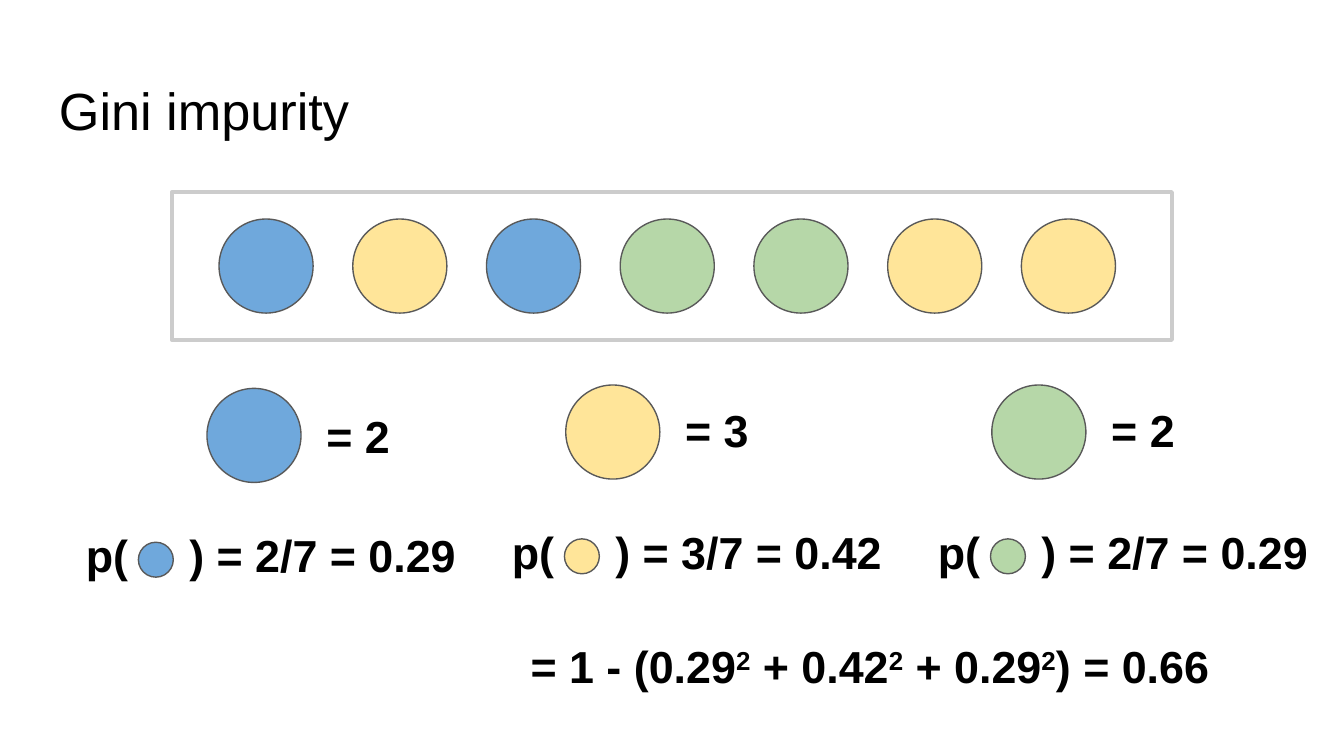
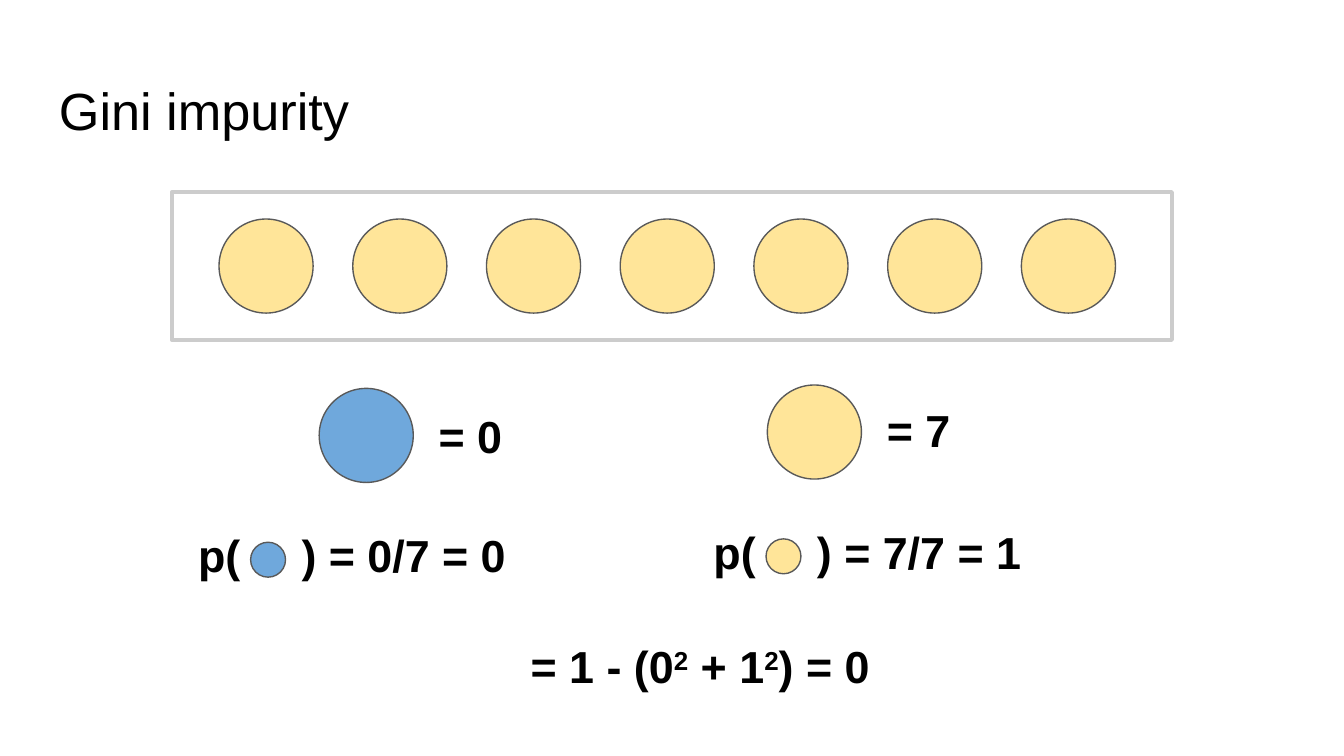
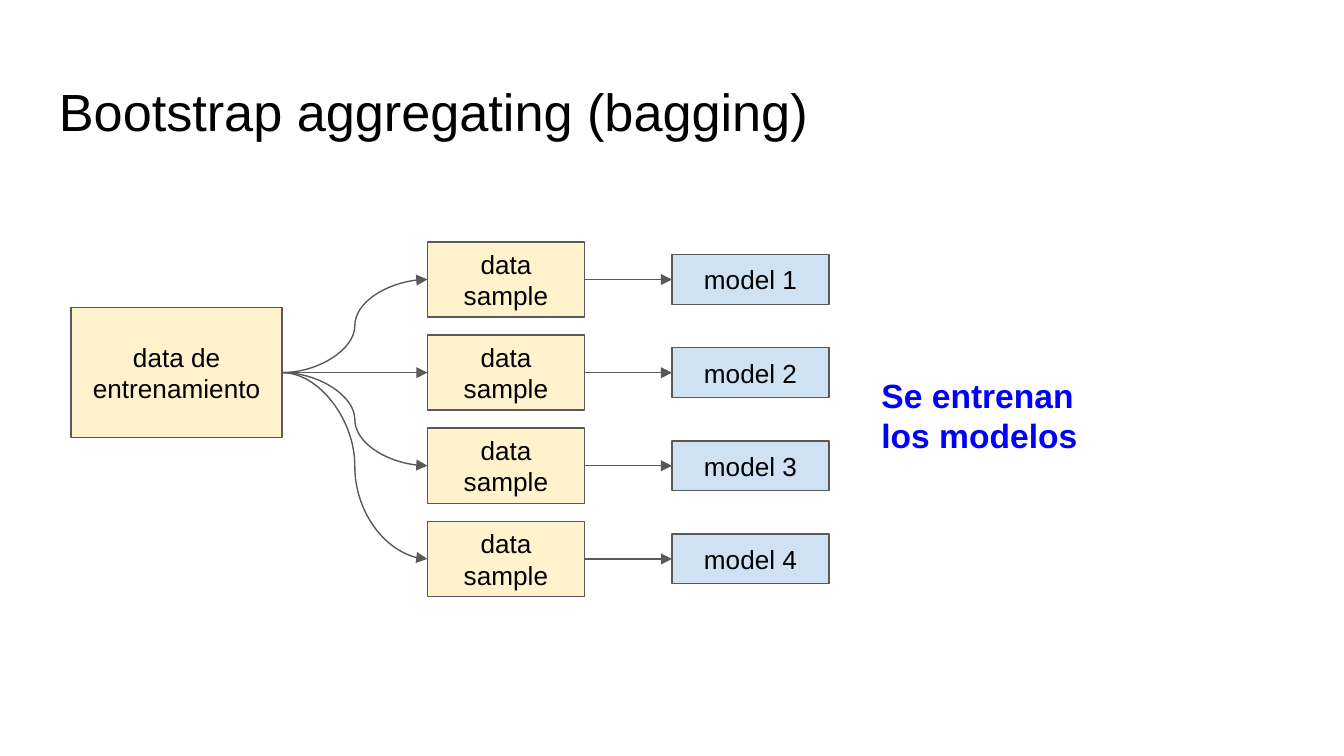
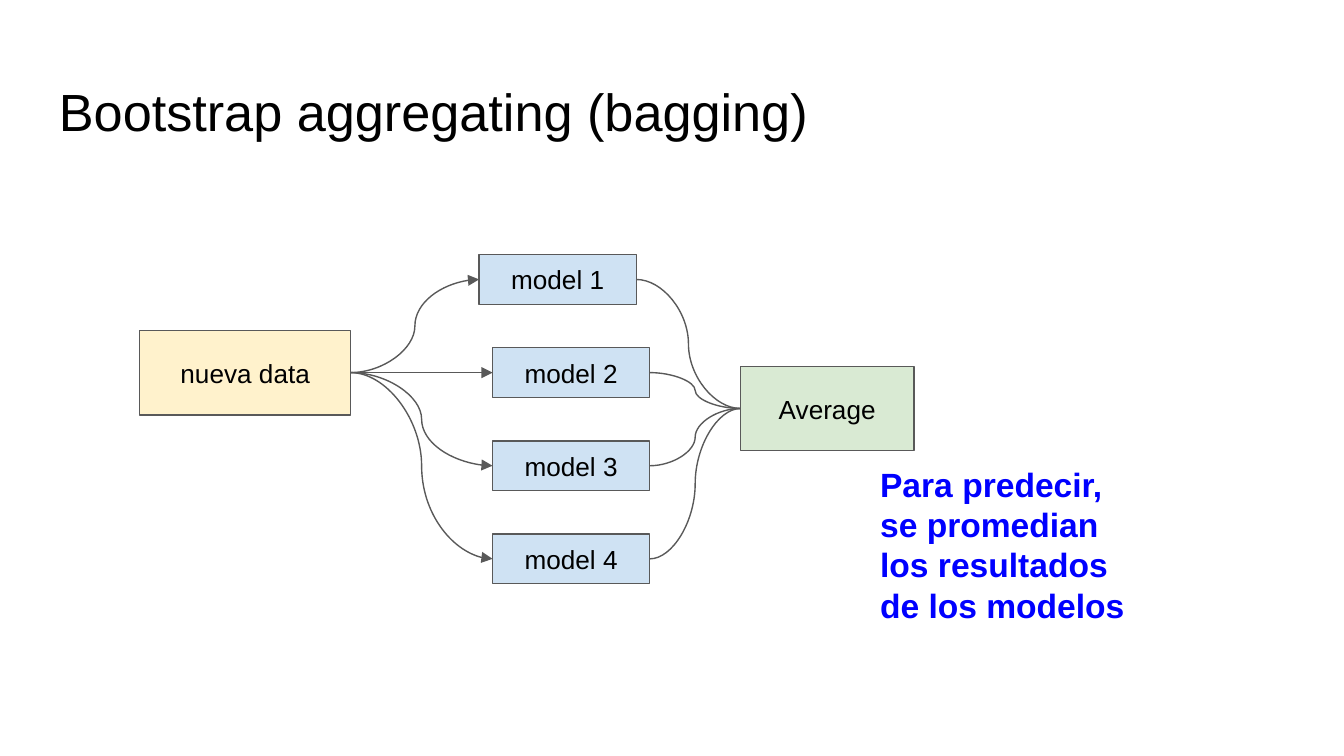
from dataclasses import dataclass
from typing import Any, NamedTuple, Optional

from lxml.etree import SubElement
from pptx import Presentation
from pptx.dml.color import RGBColor
from pptx.enum.shapes import MSO_CONNECTOR, MSO_SHAPE
from pptx.enum.text import MSO_ANCHOR, PP_ALIGN
from pptx.oxml.ns import qn
from pptx.util import Inches, Pt

WIDTH, HEIGHT = Inches(10), Inches(5.625)
COLUMNS = 100
CELL = WIDTH / COLUMNS
TOP, LEFT, BOTTOM, RIGHT = range(4)


@dataclass(frozen=True)
class Theme:
    font: str = "Arial"
    ink: str = "000000"
    outline: str = "595959"
    frame: str = "CCCCCC"
    blue: str = "6FA8DC"
    yellow: str = "FFE599"
    green: str = "B6D7A8"
    data: str = "FFF2CC"
    model: str = "CFE2F3"
    result: str = "D9EAD3"
    remark: str = "0000FF"
    title_size: int = 28
    formula_size: int = 24
    remark_size: int = 18
    box_size: int = 14
    hairline: float = 0.75
    frame_line: float = 2.25


THEME = Theme()


class Area(NamedTuple):
    left: float
    top: float
    width: float
    height: float


class TextStyle(NamedTuple):
    size: int
    color: str = THEME.ink
    bold: bool = False
    anchor: MSO_ANCHOR = MSO_ANCHOR.TOP
    align: PP_ALIGN = PP_ALIGN.LEFT


TITLE = TextStyle(THEME.title_size)
COUNT = TextStyle(THEME.formula_size, bold=True)
FORMULA = COUNT._replace(anchor=MSO_ANCHOR.MIDDLE)
REMARK = TextStyle(THEME.remark_size, THEME.remark, True)
BOX = TextStyle(THEME.box_size, anchor=MSO_ANCHOR.MIDDLE, align=PP_ALIGN.CENTER)


class TallyLayout(NamedTuple):
    ball_shift: float
    drop: float
    count_drop: float
    count_width: float


LEADING = TallyLayout(10, 0.25, 0.5, 9.1)
FOLLOWING = TallyLayout(5, 0, 0.3, 7.7)


class Tally(NamedTuple):
    left: float
    color: str
    count: str
    probability: str
    layout: TallyLayout = FOLLOWING


@dataclass(frozen=True)
class GiniExample:
    balls: list[str]
    tallies: list[Tally]
    impurity: list[str]
    impurity_width: float


class Stage(NamedTuple):
    label: str
    left: float
    middle: float
    width: float
    height: float
    fill: str


BALL, MINI_BALL = 7, 2.6
BALL_PITCH = 9.95
TAB_STOP = Inches(0.77)
BRANCHES = [20.8 + 6.93 * branch for branch in range(4)]
MODEL_SIZE = (11.7, 3.7)
SAMPLE_SIZE = (11.7, 5.6)


def cells(amount: float) -> int:
    return round(amount * CELL)


def rgb(color: str) -> RGBColor:
    return RGBColor.from_string(color)


def apply(target: Any, values: dict[str, Any]) -> None:
    for attribute, value in values.items():
        setattr(target, attribute, value)


def write(frame: Any, parts: list[str], style: TextStyle) -> None:
    margins = {f"margin_{side}": cells(1) for side in ("left", "top", "right", "bottom")}
    apply(frame, {"word_wrap": True, "vertical_anchor": style.anchor, **margins})
    paragraph = frame.paragraphs[0]
    paragraph.alignment = style.align
    for position, part in enumerate(parts):
        run = paragraph.add_run()
        run.text = part
        apply(run.font, {"name": THEME.font, "size": Pt(style.size), "bold": style.bold})
        run.font.color.rgb = rgb(style.color)
        if position % 2:
            run._r.get_or_add_rPr().set("baseline", "30000")


def add_text(slide: Any, area: Area, style: TextStyle, *parts: str) -> Any:
    textbox = slide.shapes.add_textbox(*map(cells, area))
    write(textbox.text_frame, list(parts), style)
    return textbox


def add_figure(slide: Any, kind: MSO_SHAPE, area: Area, fill: Optional[str],
               line: str = THEME.outline, weight: float = THEME.hairline) -> Any:
    figure = slide.shapes.add_shape(kind, *map(cells, area))
    figure.shadow.inherit = False
    if fill:
        figure.fill.solid()
        figure.fill.fore_color.rgb = rgb(fill)
    else:
        figure.fill.background()
    figure.line.color.rgb = rgb(line)
    figure.line.width = Pt(weight)
    return figure


def add_ball(slide: Any, left: float, top: float, size: float, color: str) -> None:
    add_figure(slide, MSO_SHAPE.OVAL, Area(left, top, size, size), color)


def add_stage(slide: Any, stage: Stage) -> Any:
    area = Area(stage.left, stage.middle - stage.height / 2, stage.width, stage.height)
    figure = add_figure(slide, MSO_SHAPE.RECTANGLE, area, stage.fill)
    write(figure.text_frame, [stage.label], BOX)
    return figure


def link(slide: Any, source: Any, target: Any, curved: bool = False, arrow: bool = True) -> None:
    kind = MSO_CONNECTOR.CURVE if curved else MSO_CONNECTOR.STRAIGHT
    connector = slide.shapes.add_connector(kind, 0, 0, 0, 0)
    connector.begin_connect(source, RIGHT)
    connector.end_connect(target, LEFT)
    connector.line.color.rgb = rgb(THEME.outline)
    connector.line.width = Pt(THEME.hairline)
    if arrow:
        SubElement(connector.line._get_or_add_ln(), qn("a:tailEnd"), type="triangle")
    SubElement(connector._element.spPr, qn("a:effectLst"))


def fan_out(slide: Any, source: Any, targets: list[Any]) -> None:
    for branch, target in enumerate(targets):
        link(slide, source, target, curved=branch != 1)


def add_titled_slide(deck: Any, title: str, top: float) -> Any:
    slide = deck.slides.add_slide(deck.slide_layouts[6])
    add_text(slide, Area(3.4, top, 93.2, 6.3), TITLE, title)
    return slide


def add_tally(slide: Any, tally: Tally) -> None:
    layout = tally.layout
    ball_left, ball_top = tally.left + layout.ball_shift, 28.65 + layout.drop
    add_ball(slide, ball_left, ball_top, BALL, tally.color)
    count_area = Area(ball_left + 7.9, ball_top + layout.count_drop, layout.count_width, 5)
    add_text(slide, count_area, COUNT, f"= {tally.count}")
    probability_area = Area(tally.left, 37.9 + layout.drop, 32.8, 6.3)
    probability = add_text(slide, probability_area, FORMULA, f"p(\t) = {tally.probability}")
    properties = probability.text_frame.paragraphs[0]._p.get_or_add_pPr()
    stops = SubElement(properties, qn("a:tabLst"))
    SubElement(stops, qn("a:tab"), pos=str(TAB_STOP), algn="l")
    add_ball(slide, tally.left + 4.9, 40.1 + layout.drop, MINI_BALL, tally.color)


def build_gini(deck: Any, example: GiniExample) -> None:
    slide = add_titled_slide(deck, "Gini impurity", 4.8)
    add_figure(slide, MSO_SHAPE.RECTANGLE, Area(12.8, 14.3, 74.4, 11), None,
               THEME.frame, THEME.frame_line)
    for position, color in enumerate(example.balls):
        add_ball(slide, 16.3 + position * BALL_PITCH, 16.3, BALL, color)
    for tally in example.tallies:
        add_tally(slide, tally)
    add_text(slide, Area(38.5, 46.4, example.impurity_width, 6.3), FORMULA, *example.impurity)


def build_training(deck: Any) -> None:
    slide = add_titled_slide(deck, "Bootstrap aggregating (bagging)", 4.9)
    training_data = add_stage(slide, Stage("data de entrenamiento", 5.3, BRANCHES[1],
                                           15.7, 9.7, THEME.data))
    samples = [add_stage(slide, Stage("data sample", 31.8, middle, *SAMPLE_SIZE, THEME.data))
               for middle in BRANCHES]
    models = [add_stage(slide, Stage(f"model {number}", 50, middle, *MODEL_SIZE, THEME.model))
              for number, middle in enumerate(BRANCHES, 1)]
    fan_out(slide, training_data, samples)
    for sample, model in zip(samples, models):
        link(slide, sample, model)
    add_text(slide, Area(64.6, 26.9, 19.9, 6.9), REMARK, "Se entrenan los modelos")


def build_prediction(deck: Any) -> None:
    slide = add_titled_slide(deck, "Bootstrap aggregating (bagging)", 4.9)
    new_data = add_stage(slide, Stage("nueva data", 10.4, BRANCHES[1], 15.7, 6.3, THEME.data))
    average = add_stage(slide, Stage("Average", 55.1, 30.4, 12.9, 6.3, THEME.result))
    lefts = [35.65, 36.65, 36.65, 36.65]
    models = [add_stage(slide, Stage(f"model {number}", left, middle, *MODEL_SIZE, THEME.model))
              for number, (left, middle) in enumerate(zip(lefts, BRANCHES), 1)]
    fan_out(slide, new_data, models)
    for model in models:
        link(slide, model, average, curved=True, arrow=False)
    add_text(slide, Area(64.5, 33.5, 20.8, 6.9), REMARK,
             "Para predecir, se promedian los resultados de los modelos")


def main() -> None:
    deck = Presentation()
    apply(deck, {"slide_width": WIDTH, "slide_height": HEIGHT})
    blue, yellow, green = THEME.blue, THEME.yellow, THEME.green
    mixed = GiniExample(
        [blue, yellow, blue, green, green, yellow, yellow],
        [Tally(5.4, blue, "2", "2/7 = 0.29", LEADING),
         Tally(37.1, yellow, "3", "3/7 = 0.42"),
         Tally(68.8, green, "2", "2/7 = 0.29")],
        ["= 1 - (0.29", "2", " + 0.42", "2", " + 0.29", "2", ") = 0.66"], 54.3)
    pure = GiniExample(
        [yellow] * 7,
        [Tally(13.75, blue, "0", "0/7 = 0", LEADING),
         Tally(52.1, yellow, "7", "7/7 = 1")],
        ["= 1 - (0", "2", " + 1", "2", ") = 0"], 44.2)
    for example in (mixed, pure):
        build_gini(deck, example)
    build_training(deck)
    build_prediction(deck)
    deck.save("out.pptx")


if __name__ == "__main__":
    main()
